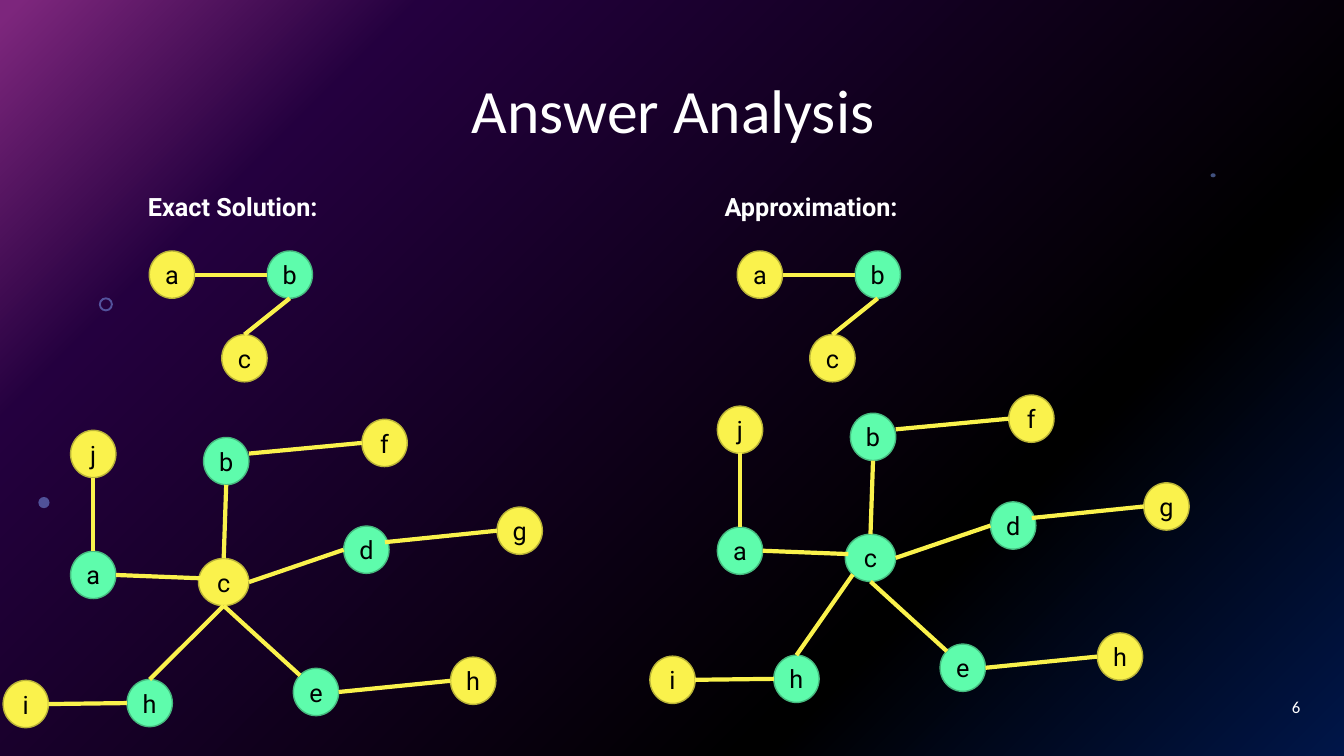
from dataclasses import dataclass, replace

from lxml import etree
from pptx import Presentation
from pptx.dml.color import RGBColor
from pptx.enum.shapes import MSO_CONNECTOR as Connector, MSO_SHAPE as Preset
from pptx.enum.text import MSO_ANCHOR as Anchor, PP_ALIGN as Align
from pptx.oxml import parse_xml
from pptx.oxml.ns import nsdecls, qn
from pptx.shapes.autoshape import Shape
from pptx.slide import Slide
from pptx.util import Pt

WHITE = RGBColor(0xFF, 0xFF, 0xFF)
BLACK = RGBColor(0x00, 0x00, 0x00)
YELLOW = RGBColor(0xFA, 0xF2, 0x4C)
DARK_YELLOW = RGBColor(0xB9, 0xB3, 0x38)
GREEN = RGBColor(0x5E, 0xFC, 0xAC)
DARK_GREEN = RGBColor(0x46, 0xBA, 0x7F)
STAR_BLUE = RGBColor(0x83, 0xA7, 0xFD)
OUTLINES = {YELLOW: DARK_YELLOW, GREEN: DARK_GREEN}
BACKGROUND_STOPS = [
    (0, RGBColor(0x02, 0x2D, 0x94)),
    (28, BLACK),
    (80, RGBColor(0x4A, 0x02, 0x7F)),
    (99, RGBColor(0xFC, 0x4E, 0xFB)),
]

WIDTH, HEIGHT = 960, 540
NODE_WIDTH, NODE_HEIGHT = 32.4, 33.8

Site = tuple[float, float]
TOP, LEFT, BOTTOM, RIGHT = (0.5, 0), (0, 0.5), (0.5, 1), (1, 0.5)
TOP_LEFT, BOTTOM_LEFT = (0.15, 0.15), (0.15, 0.85)
UPPER_LEFT, UPPER_RIGHT, SHOULDER = (0.06, 0.42), (1, 0.34), (0.91, 0.34)


@dataclass(frozen=True)
class Node:
    label: str
    left: float
    top: float
    color: RGBColor
    width: float = NODE_WIDTH

    def point(self, site: Site) -> tuple[float, float]:
        return self.left + site[0] * self.width, self.top + site[1] * NODE_HEIGHT


@dataclass(frozen=True)
class Edge:
    start: str
    start_site: Site
    end: str
    end_site: Site


@dataclass(frozen=True)
class Star:
    preset: Preset
    left: float
    top: float
    width: float
    height: float


PATH_NODES = {
    "a": Node("a", 106.6, 179.3, YELLOW),
    "b": Node("b", 190.8, 179.3, GREEN),
    "c": Node("c", 158.4, 239, YELLOW),
}
PATH_EDGES = [Edge("a", RIGHT, "b", LEFT), Edge("c", TOP, "b", BOTTOM)]

TREE_NODES = {
    "a": Node("a", 50.4, 393.8, GREEN),
    "b": Node("b", 145.4, 312.5, GREEN),
    "c": Node("c", 141.8, 398.9, YELLOW, 36),
    "d": Node("d", 245.5, 375.8, GREEN),
    "e": Node("e", 209.5, 477.4, GREEN),
    "f": Node("f", 258.5, 299.5, YELLOW),
    "g": Node("g", 355, 362.2, YELLOW),
    "inner h": Node("h", 90.7, 485.3, GREEN),
    "outer h": Node("h", 321.8, 469.4, YELLOW),
    "i": Node("i", 2.2, 486, YELLOW),
    "j": Node("j", 50.4, 307.4, YELLOW),
}
TREE_EDGES = [
    Edge("c", TOP, "b", BOTTOM),
    Edge("c", BOTTOM, "e", TOP_LEFT),
    Edge("d", LEFT, "c", RIGHT),
    Edge("a", RIGHT, "c", UPPER_LEFT),
    Edge("outer h", LEFT, "e", RIGHT),
    Edge("g", LEFT, "d", SHOULDER),
    Edge("f", LEFT, "b", UPPER_RIGHT),
    Edge("a", TOP, "j", BOTTOM),
    Edge("i", RIGHT, "inner h", LEFT),
]
STARS = [
    Star(Preset.DONUT, 70.6, 212.4, 10, 10),
    Star(Preset.OVAL, 27.4, 355, 8, 8),
    Star(Preset.OVAL, 864.7, 123.8, 3.6, 2.9),
]


def write_text(shape: Shape, text: str, *, size: float, font: str, color: RGBColor,
               bold: bool = False, align: Align = Align.LEFT,
               anchor: Anchor = Anchor.TOP, spacing: float = 1) -> None:
    frame = shape.text_frame
    frame.word_wrap = True
    frame.vertical_anchor = anchor
    paragraph = frame.paragraphs[0]
    paragraph.alignment = align
    paragraph.line_spacing = spacing
    run = paragraph.add_run()
    run.text = text
    run.font.size = Pt(size)
    run.font.name = font
    run.font.bold = bold
    run.font.color.rgb = color


def add_text_box(slide: Slide, left: float, top: float, width: float,
                 height: float) -> Shape:
    return slide.shapes.add_textbox(Pt(left), Pt(top), Pt(width), Pt(height))


def add_preset(slide: Slide, preset: Preset, left: float, top: float, width: float,
               height: float, color: RGBColor) -> Shape:
    shape = slide.shapes.add_shape(preset, Pt(left), Pt(top), Pt(width), Pt(height))
    shape.shadow.inherit = False
    shape.fill.solid()
    shape.fill.fore_color.rgb = color
    shape.line.fill.background()
    return shape


def set_opacity(shape: Shape, percent: int) -> None:
    color = shape.fill._xPr.find(qn("a:solidFill"))[0]
    etree.SubElement(color, qn("a:alpha")).set("val", str(percent * 1000))


def set_background(slide: Slide) -> None:
    stops = "".join(f'<a:gs pos="{position * 1000}"><a:srgbClr val="{color}"/></a:gs>'
                    for position, color in BACKGROUND_STOPS)
    background = parse_xml(
        f'<p:bg {nsdecls("p", "a")}><p:bgPr><a:gradFill><a:gsLst>{stops}</a:gsLst>'
        '<a:path path="circle"><a:fillToRect l="100000" t="100000"/></a:path>'
        '</a:gradFill><a:effectLst/></p:bgPr></p:bg>')
    slide.element.cSld.insert(0, background)


def add_node(slide: Slide, node: Node) -> None:
    shape = add_preset(slide, Preset.OVAL, node.left, node.top, node.width,
                       NODE_HEIGHT, node.color)
    shape.line.color.rgb = OUTLINES[node.color]
    shape.line.width = Pt(1)
    frame = shape.text_frame
    frame.margin_left = frame.margin_right = frame.margin_top = frame.margin_bottom = 0
    write_text(shape, node.label, size=18, font="Roboto", color=BLACK,
               align=Align.CENTER, anchor=Anchor.MIDDLE)


def add_edge(slide: Slide, start: tuple[float, float], end: tuple[float, float]) -> None:
    connector = slide.shapes.add_connector(
        Connector.STRAIGHT, *(Pt(value) for value in (*start, *end)))
    connector.line.color.rgb = YELLOW
    connector.line.width = Pt(3)
    etree.SubElement(connector._element.spPr, qn("a:effectLst"))


def add_graph(slide: Slide, nodes: dict[str, Node], edges: list[Edge],
              shift_x: float = 0, shift_y: float = 0) -> None:
    placed = {key: replace(node, left=node.left + shift_x, top=node.top + shift_y)
              for key, node in nodes.items()}
    for node in placed.values():
        add_node(slide, node)
    for edge in edges:
        add_edge(slide, placed[edge.start].point(edge.start_site),
                 placed[edge.end].point(edge.end_site))


def main() -> None:
    presentation = Presentation()
    presentation.slide_width, presentation.slide_height = Pt(WIDTH), Pt(HEIGHT)
    slide = presentation.slides.add_slide(presentation.slide_layouts[6])
    set_background(slide)
    set_opacity(add_preset(slide, Preset.RECTANGLE, 0, 0, WIDTH, HEIGHT, BLACK), 50)
    for star in STARS:
        shape = add_preset(slide, star.preset, star.left, star.top, star.width,
                           star.height, STAR_BLUE)
        set_opacity(shape, 49)
        if star.preset == Preset.DONUT:
            shape.adjustments[0] = 0.14

    write_text(add_text_box(slide, 67, 28.8, 828, 104.4), "Answer Analysis", size=44,
               font="Calibri", color=WHITE, align=Align.CENTER, anchor=Anchor.MIDDLE,
               spacing=0.9)
    write_text(add_text_box(slide, 720, 490.3, 216, 28.8), "6", size=12, font="Calibri",
               color=WHITE, align=Align.RIGHT, anchor=Anchor.MIDDLE)
    for left, heading in ((98.6, "Exact Solution:"), (510.5, "Approximation:")):
        write_text(add_text_box(slide, left, 133.2, 380.2, 72.7), heading, size=18,
                   font="Roboto", color=WHITE, bold=True)

    approximate_nodes = TREE_NODES | {"c": replace(TREE_NODES["c"], color=GREEN)}
    add_graph(slide, PATH_NODES, PATH_EDGES)
    add_graph(slide, PATH_NODES, PATH_EDGES, 420)
    add_graph(slide, TREE_NODES, TREE_EDGES + [Edge("inner h", TOP, "c", BOTTOM)])
    add_graph(slide, approximate_nodes,
              TREE_EDGES + [Edge("inner h", TOP, "c", BOTTOM_LEFT)], 462, -17.3)
    presentation.save("out.pptx")


if __name__ == "__main__":
    main()
